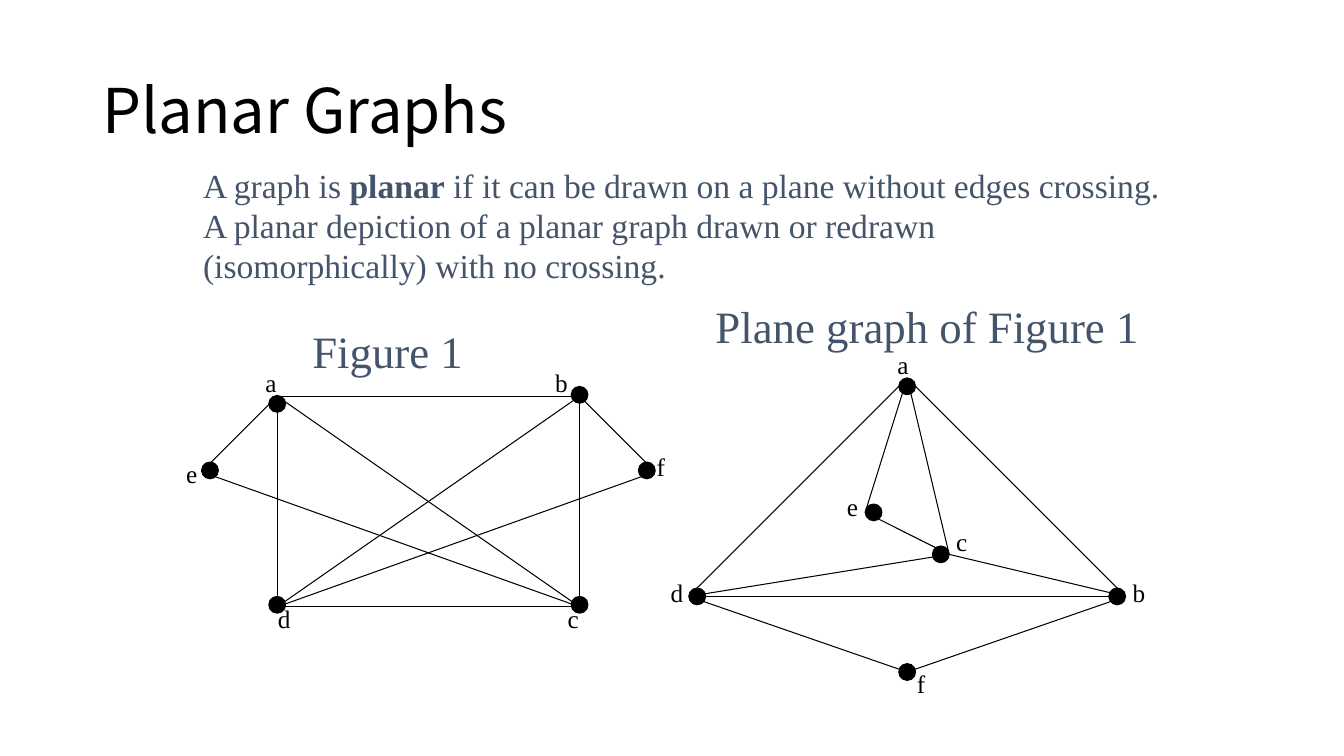
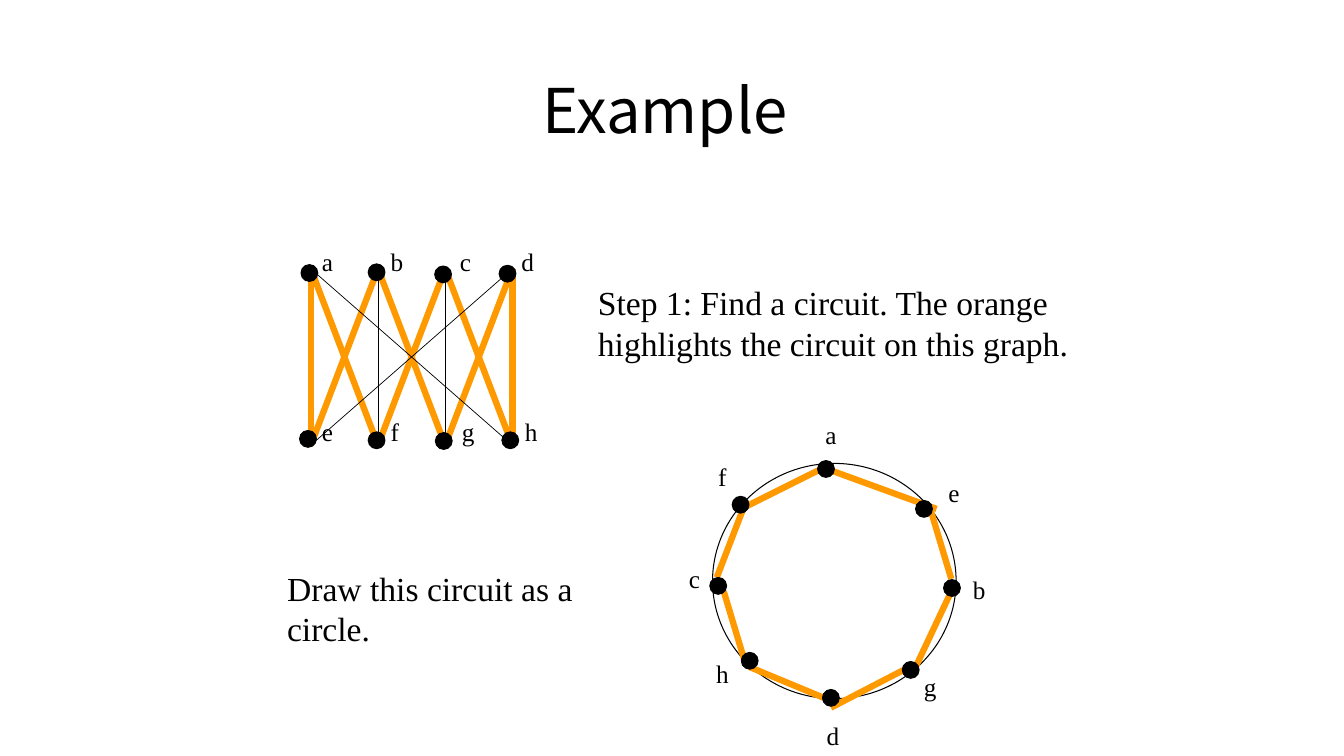
from pptx import Presentation
from pptx.dml.color import RGBColor as Rgb
from pptx.enum.shapes import MSO_CONNECTOR as Conn, MSO_SHAPE as Shape
from pptx.enum.text import MSO_ANCHOR as Anchor, PP_ALIGN as Align
from pptx.oxml.ns import qn
from pptx.util import Pt
from lxml import etree

BLACK = Rgb(0x00, 0x00, 0x00)
WHITE = Rgb(0xFF, 0xFF, 0xFF)
SLATE = Rgb(0x44, 0x54, 0x6A)
ORANGE = Rgb(0xFF, 0x99, 0x00)
SERIF = "Times New Roman"
SANS = "Noto Sans CJK SC"
DOT = 12
LABEL = (20, 28)


def write(slide, box, lines, size, color=BLACK, font=SERIF,
          align=Align.LEFT, anchor=Anchor.TOP, pad=7.2, space=1.0):
    frame = slide.shapes.add_textbox(*map(Pt, box)).text_frame
    frame.word_wrap = True
    frame.vertical_anchor = anchor
    frame.margin_left = frame.margin_right = Pt(pad)
    frame.margin_top = frame.margin_bottom = Pt(pad / 2)
    for i, line in enumerate(lines):
        para = frame.add_paragraph() if i else frame.paragraphs[0]
        para.alignment = align
        para.line_spacing = space
        for text, bold in line:
            run = para.add_run()
            run.text = text
            run.font.size = Pt(size)
            run.font.name = font
            run.font.bold = bold
            run.font.color.rgb = color


def title(slide, text, align=Align.LEFT):
    write(slide, (66, 29, 828, 104), [[(text, False)]], 44, font=SANS,
          align=align, anchor=Anchor.MIDDLE, space=0.9)


def oval(slide, box, fill):
    shape = slide.shapes.add_shape(Shape.OVAL, *map(Pt, box))
    shape.shadow.inherit = False
    shape.fill.solid()
    shape.fill.fore_color.rgb = fill
    shape.line.color.rgb = BLACK
    shape.line.width = Pt(0.75)


def link(slide, left, top, ends, color, width):
    (x1, y1), (x2, y2) = ends
    line = slide.shapes.add_connector(
        Conn.STRAIGHT, Pt(left + x1), Pt(top + y1), Pt(left + x2), Pt(top + y2))
    line.line.color.rgb = color
    line.line.width = Pt(width)
    etree.SubElement(line._element.spPr, qn("a:effectLst"))


def join(points, pairs):
    return [(points[p], points[q]) for p, q in pairs.split()]


def graph(slide, left, top, layers, nodes):
    for links, color, width in layers:
        for ends in links:
            link(slide, left, top, ends, color, width)
    wide, high = LABEL
    for name, ((x, y), (u, v)) in nodes.items():
        oval(slide, (left + x - DOT / 2, top + y - DOT / 2, DOT, DOT), BLACK)
        write(slide, (left + u - wide / 2, top + v - high / 2, wide, high),
              [[(name, False)]], 18, align=Align.CENTER,
              anchor=Anchor.MIDDLE, pad=0)


def crossed(slide, left, top):
    ends = {"a": (54, 0), "b": (270, 0), "e": (0, 54), "f": (324, 54),
            "d": (54, 150.5), "c": (270, 150.5)}
    nodes = {"a": ((54, 5.5), (49.5, -9.5)), "b": ((270, -1), (257, -9.5)),
             "e": ((6, 53), (-7, 55.5)), "f": ((318, 53), (328, 50.5)),
             "d": ((54, 149), (59, 158.5)), "c": ((270, 149), (265.5, 158.5))}
    links = join(ends, "ab ae ac ec bf bd fd ad bc dc")
    graph(slide, left, top, [(links, BLACK, 0.75)], nodes)


def plane(slide, left, top):
    ends = {"a": (156, 0), "d": (0, 156), "b": (312, 156), "f": (156, 210),
            "c": (186, 126), "e": (126, 96)}
    nodes = {"a": ((156, 6), (153, -9.5)), "d": ((6, 156), (-8.5, 153.5)),
             "b": ((306, 156), (321.5, 153.5)), "f": ((156, 210), (166, 218)),
             "c": ((180, 126), (195, 116.5)), "e": ((132, 96), (117, 92))}
    links = join(ends, "ad ab df bf db dc cb ce ae ac")
    graph(slide, left, top, [(links, BLACK, 0.75)], nodes)


def ladder(slide, left, top):
    gap, drop = 48, 126
    ends = {name: (gap * (i % 4), drop * (i // 4))
            for i, name in enumerate("abcdefgh")}
    nodes = {"a": ((-1, 3), (12, -5.5)), "b": ((47, 2.5), (61.5, -5.5)),
             "c": ((94.5, 4), (110.5, -5.5)), "d": ((140.5, 3.5), (155, -5.5)),
             "e": ((-2, 121.5), (12, 116.5)), "f": ((47, 122.5), (60, 116.5)),
             "g": ((95, 123), (112.5, 116.5)), "h": ((142.5, 122.5), (157.5, 116.5))}
    tour = join(ends, "ae af fc ch hd dg gb be")
    rest = join(ends, "bf cg ed ah")
    layers = [(tour, BLACK, 0.5), (tour, ORANGE, 4.5), (rest, BLACK, 0.5)]
    graph(slide, left, top, layers, nodes)


def ring(slide, left, top):
    nodes = {"a": ((81, 4), (84.5, -20.5)), "e": ((151, 32.5), (172.5, 20.5)),
             "b": ((171, 89), (190.5, 90)), "g": ((141.5, 147.5), (155.5, 159.5)),
             "d": ((84.5, 167.5), (86, 194.5)), "h": ((26.5, 141), (7, 150)),
             "c": ((4, 87.5), (-13, 82.5)), "f": ((20, 29.5), (7, 9))}
    tour = [((84.5, 5), (160, 32.5)), ((155.5, 32.5), (170.5, 82.5)),
            ((170, 92.5), (145, 145.5)), ((140.5, 145.5), (84.5, 174.5)),
            ((88, 171), (26.5, 145.5)), ((23, 141.5), (8, 91.5)),
            ((3, 81.5), (23, 29.5)), ((24.5, 30.5), (80.5, 2.5))]
    oval(slide, (left, top, 174, 168), WHITE)
    graph(slide, left, top, [(tour, ORANGE, 4.5)], nodes)


def planar(slide):
    title(slide, "Planar Graphs")
    write(slide, (138, 114, 700, 94), [
        [("A graph is ", False), ("planar", True),
         (" if it can be drawn on a plane without edges crossing.", False)],
        [("A planar depiction of a planar graph drawn or redrawn "
          "(isomorphically) with no crossing.", False)]], 24, SLATE)
    write(slide, (216, 228, 222, 45), [[("Figure 1", False)]], 32, SLATE)
    write(slide, (504, 210, 330, 45),
          [[("Plane graph of Figure 1", False)]], 32, SLATE)
    crossed(slide, 144, 283)
    plane(slide, 492, 270)


def sample(slide):
    title(slide, "Example ", Align.CENTER)
    write(slide, (420, 198, 360, 66), [[(
        "Step 1: Find a circuit. The orange highlights the circuit "
        "on this graph.", False)]], 24)
    write(slide, (198, 402, 246, 66),
          [[("Draw this circuit as a circle.", False)]], 24)
    ladder(slide, 222, 192)
    ring(slide, 509, 331)


def main():
    deck = Presentation()
    deck.slide_width = Pt(960)
    deck.slide_height = Pt(540)
    for build in (planar, sample):
        build(deck.slides.add_slide(deck.slide_layouts[6]))
    deck.save("out.pptx")


if __name__ == "__main__":
    main()
